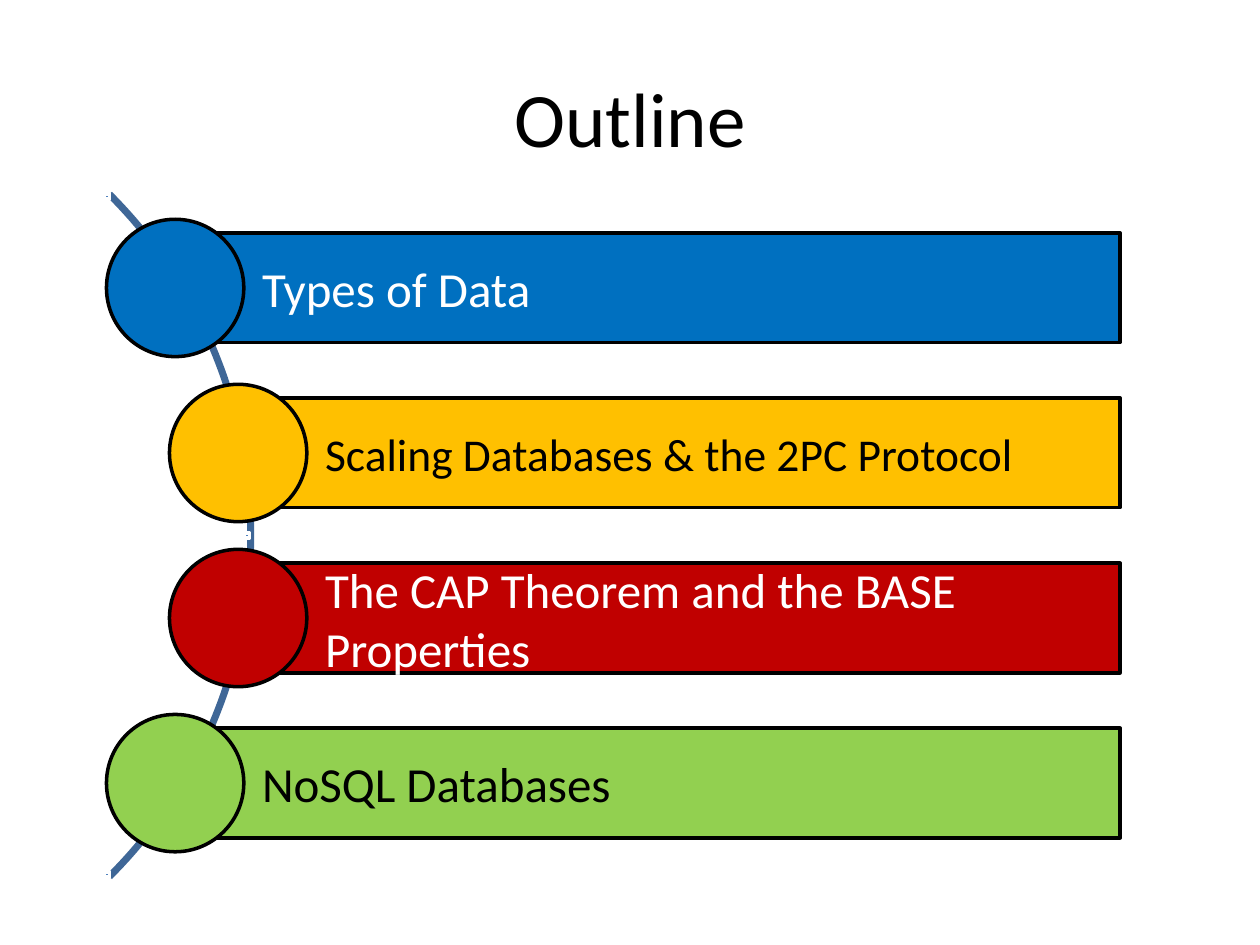
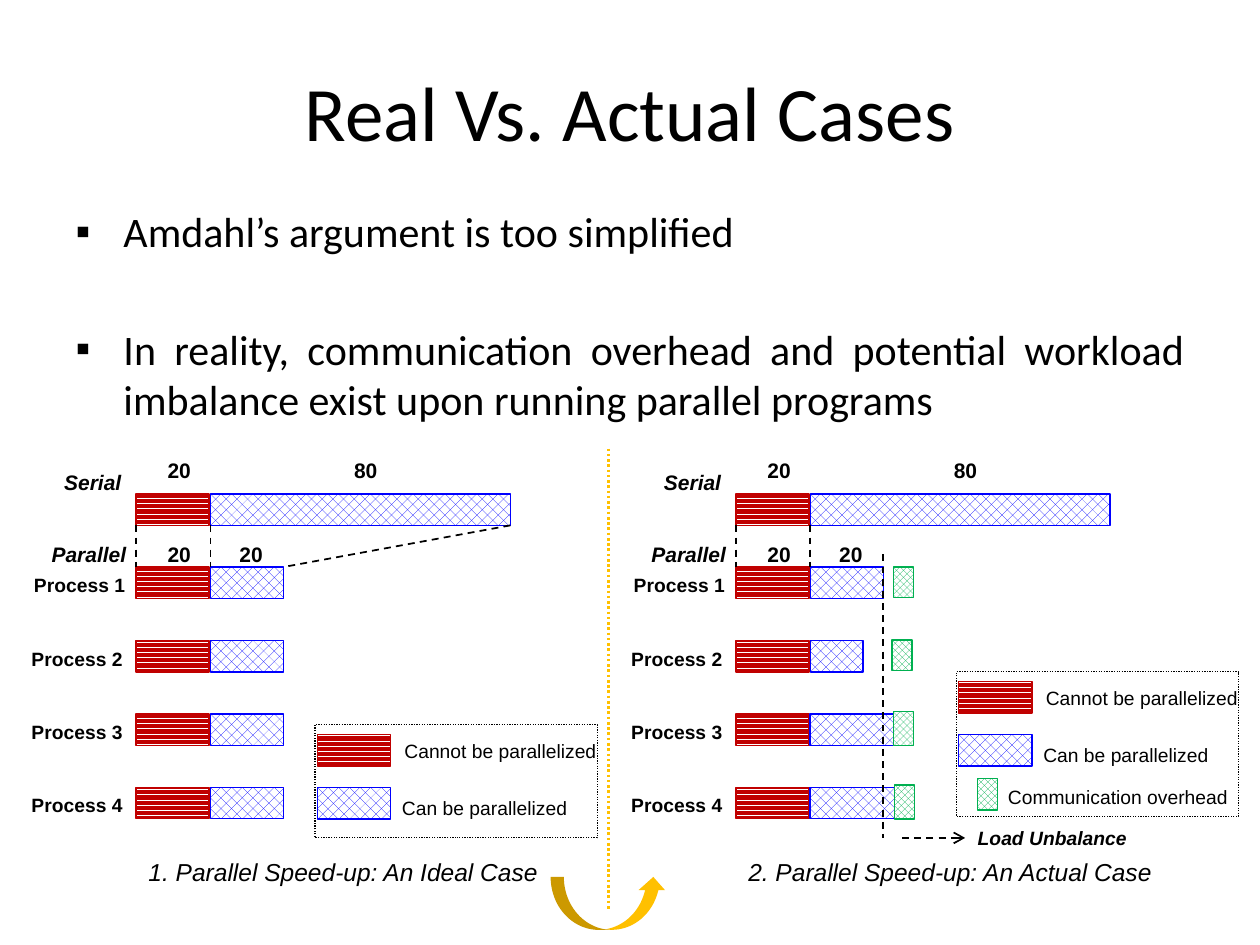
import math

from lxml import etree
from pptx import Presentation
from pptx import util as u
from pptx.dml.color import RGBColor
from pptx.enum import dml, shapes, text
from pptx.oxml import ns

COLORS = dict(black="000000", white="FFFFFF", blue="0070C0", amber="FFC000", red="C00000",
              green="92D050", arc="3F6797", node="4F81BD", parallel="0000FF", overhead="00B050")

OUTLINE = [
    ("Types of Data", "blue", "white", 28, 0),
    ("Scaling Databases & the 2PC Protocol", "amber", "black", 26, 0.5),
    ("The CAP Theorem and the BASE Properties", "red", "white", 28, 0.5),
    ("NoSQL Databases", "green", "black", 28, 0),
]
ROW_TOP, ROW_PITCH, BAR_H, BAR_RIGHT, DISC = 1.85, 1.31, 0.87, 8.89, 1.09
ARC_X, ARC_Y, ARC_R = -1.84, 4.25, 3.83
ARC_NODES = [(0.83, 1.54), (1.94, 4.23), (0.83, 6.92)]

POINTS = [
    ("Amdahl’s argument is too simplified", 0),
    ("In reality, communication overhead and potential workload imbalance exist "
     "upon running parallel programs", 38.5),
]
PATTERNS = {
    "serial": ("red", dml.MSO_PATTERN.DARK_HORIZONTAL),
    "parallel": ("parallel", dml.MSO_PATTERN.WEAVE),
    "overhead": ("overhead", dml.MSO_PATTERN.LARGE_CHECKER_BOARD),
}
BAR, BAR_W, SERIAL_W = 0.25, 0.58, 2.38
SERIAL_TOP, PROCESS_TOP, PROCESS_PITCH = 3.92, 4.5, 0.583
BOLD = dict(bold=True)
ITALIC = dict(italic=True)
BOLD_ITALIC = dict(bold=True, italic=True)
PANEL_LABELS = [
    ("20", 0.25, 3.63, 0.19, BOLD),
    ("80", 1.73, 3.63, 0.19, BOLD),
    ("20", 0.25, 4.3, 0.19, BOLD),
    ("20", 0.82, 4.3, 0.19, BOLD),
    ("Serial", -0.57, 3.73, 0.46, BOLD_ITALIC),
    ("Parallel", -0.67, 4.3, 0.6, BOLD_ITALIC),
]
LEGEND = [
    ("serial", "Cannot be parallelized", 0.02, 0.08, BAR_W, 0.71, 0.12, 1.54),
    ("parallel", "Can be parallelized", 0.02, 0.5, BAR_W, 0.69, 0.57, 1.32),
    ("overhead", "Communication overhead", 0.17, 0.85, 0.16, 0.41, 0.9, 1.76),
]
PANELS = [
    dict(left=1.08, caption="1. Parallel Speed-up: An Ideal Case", caption_w=3.31,
         widths=[0.58] * 4, overheads=[], legend=(2.5, 5.75, 0.9, 2)),
    dict(left=5.84, caption="2. Parallel Speed-up: An Actual Case", caption_w=3.42,
         widths=[0.58, 0.42, 0.66, 0.67],
         overheads=[(7.09, 4.5, 0.24), (7.08, 5.08, 0.24), (7.09, 5.65, 0.27), (7.1, 6.23, 0.27)],
         legend=(7.59, 5.33, 1.15, 3)),
]


def rgb(name):
    return RGBColor.from_string(COLORS[name])


def set_attrs(obj, values):
    for name, value in values.items():
        setattr(obj, name, value)


def style_run(p, words, size, font, color="black", **extra):
    r = p.add_run()
    r.text = words
    set_attrs(r.font, dict(size=u.Pt(size), name=font, **extra))
    r.font.color.rgb = rgb(color)


def place(sp, *box):
    set_attrs(sp, dict(zip(("left", "top", "width", "height"), map(u.Inches, box))))


def set_line(line, color, width, dash=None):
    line.color.rgb = rgb(color)
    line.width = u.Pt(width)
    if dash:
        line.dash_style = dash


def add_shape(s, kind, box, fill=None, line=None, width=2, dash=None):
    sp = s.shapes.add_shape(kind, *map(u.Inches, box))
    sp.shadow.inherit = False
    if fill:
        sp.fill.solid()
        sp.fill.fore_color.rgb = rgb(fill)
    else:
        sp.fill.background()
    if line:
        set_line(sp.line, line, width, dash)
    else:
        sp.line.fill.background()
    return sp


def add_block(s, kind, *box):
    color, pattern = PATTERNS[kind]
    sp = add_shape(s, shapes.MSO_SHAPE.RECTANGLE, box, line=color, width=0.75)
    sp.fill.patterned()
    sp.fill.pattern = pattern
    sp.fill.fore_color.rgb = rgb(color)
    sp.fill.back_color.rgb = rgb("white")


def add_label(s, words, x, y, w, size=11, h=0.19, inset=True, **extra):
    tf = s.shapes.add_textbox(*map(u.Inches, (x, y, w, h))).text_frame
    set_attrs(tf, dict(word_wrap=False, auto_size=text.MSO_AUTO_SIZE.SHAPE_TO_FIT_TEXT))
    if not inset:
        set_attrs(tf, dict.fromkeys(("margin_left", "margin_top", "margin_right", "margin_bottom"), 0))
    style_run(tf.paragraphs[0], words, size, "Arial", **extra)


def add_line(s, start, end, color="black", width=1, dash=dml.MSO_LINE.DASH, arrow=False):
    c = s.shapes.add_connector(shapes.MSO_CONNECTOR.STRAIGHT, *map(u.Inches, start + end))
    set_line(c.line, color, width, dash)
    if arrow:
        etree.SubElement(c.line._get_or_add_ln(), ns.qn("a:tailEnd"), type="arrow")
    etree.SubElement(c._element.spPr, ns.qn("a:effectLst"))


def add_slide(prs, layout, title, top):
    s = prs.slides.add_slide(prs.slide_layouts[layout])
    place(s.shapes.title, 0.5, top, 9, 1.25)
    tf = s.shapes.title.text_frame
    tf.vertical_anchor = text.MSO_ANCHOR.MIDDLE
    p = tf.paragraphs[0]
    p.alignment = text.PP_ALIGN.CENTER
    style_run(p, title, 44, "Calibri")
    return s


def build_outline(prs):
    s = add_slide(prs, 5, "Outline", 0.3)
    arc = [(u.Inches(ARC_X + ARC_R * math.cos(math.radians(a))),
            u.Inches(ARC_Y + ARC_R * math.sin(math.radians(a)))) for a in range(-45, 46)]
    builder = s.shapes.build_freeform(*arc[0])
    builder.add_line_segments(arc[1:], close=False)
    sp = builder.convert_to_shape()
    sp.shadow.inherit = False
    sp.fill.background()
    set_line(sp.line, "arc", 4)

    for i, (words, fill, ink, size, indent) in enumerate(OUTLINE):
        x, y = 1.39 + indent, ROW_TOP + i * ROW_PITCH
        bar = add_shape(s, shapes.MSO_SHAPE.RECTANGLE, (x, y, BAR_RIGHT - x, BAR_H), fill, "black")
        tf = bar.text_frame
        set_attrs(tf, dict(margin_left=u.Inches(0.69), margin_right=u.Inches(0.08), word_wrap=True,
                           margin_top=u.Inches(0.08), margin_bottom=u.Inches(0.08),
                           vertical_anchor=text.MSO_ANCHOR.MIDDLE))
        p = tf.paragraphs[0]
        p.alignment = text.PP_ALIGN.LEFT
        style_run(p, words, size, "Calibri", ink)
        disc = (x - DISC / 2, y + (BAR_H - DISC) / 2, DISC, DISC)
        add_shape(s, shapes.MSO_SHAPE.OVAL, disc, fill, "black")

    for x, y in ARC_NODES:
        add_shape(s, shapes.MSO_SHAPE.RECTANGLE, (x, y, 0.04, 0.04), "node", "white")


def fill_points(body):
    place(body, 0.5, 1.58, 9, 4.95)
    tf = body.text_frame
    tf.auto_size = text.MSO_AUTO_SIZE.NONE
    for i, (words, gap) in enumerate(POINTS):
        p = tf.add_paragraph() if i else tf.paragraphs[0]
        set_attrs(p, dict(alignment=text.PP_ALIGN.JUSTIFY, space_before=u.Pt(gap)))
        pPr = p._p.get_or_add_pPr()
        pPr.set("marL", str(u.Inches(0.38)))
        pPr.set("indent", str(-u.Inches(0.38)))
        etree.SubElement(pPr, ns.qn("a:buFont"), typeface="Arial")
        etree.SubElement(pPr, ns.qn("a:buChar"), char="▪")
        style_run(p, words, 24, "Calibri")


def add_legend(s, x, y, h, count):
    for kind, words, dx, dy, w, label_dx, label_dy, label_w in LEGEND[:count]:
        add_block(s, kind, x + dx, y + dy, w, BAR)
        add_label(s, words, x + label_dx, y + label_dy, label_w, inset=False)
    add_shape(s, shapes.MSO_SHAPE.RECTANGLE, (x, y, 2.24, h), line="black", width=0.75,
              dash=dml.MSO_LINE.ROUND_DOT)


def add_panel(s, left, caption, caption_w, widths, overheads, legend):
    split = left + BAR_W + 0.01
    add_block(s, "serial", left, SERIAL_TOP, BAR_W, BAR)
    add_block(s, "parallel", split, SERIAL_TOP, SERIAL_W, BAR)
    for i, width in enumerate(widths):
        y = PROCESS_TOP + i * PROCESS_PITCH
        add_block(s, "serial", left, y, BAR_W, BAR)
        add_block(s, "parallel", split, y, width, BAR)
        label_x = left - (0.83 if i else 0.81)
        add_label(s, f"Process {i + 1}", label_x, y + 0.05, 0.73, inset=False, **BOLD)
    for x in (left, split):
        add_line(s, (x, SERIAL_TOP + BAR), (x, PROCESS_TOP))
    for words, dx, y, w, style in PANEL_LABELS:
        add_label(s, words, left + dx, y, w, 12, inset=False, **style)
    add_label(s, caption, left, 6.75, caption_w, 14, 0.34, **ITALIC)
    add_legend(s, *legend)
    for x, y, h in overheads:
        add_block(s, "overhead", x, y, 0.16, h)


def build_cases(prs):
    s = add_slide(prs, 1, "Real Vs. Actual Cases", 0.25)
    fill_points(s.placeholders[1])
    for panel in PANELS:
        add_panel(s, **panel)
    add_line(s, (4.05, 4.17), (2.25, 4.5))
    add_line(s, (7.01, 4.4), (7.01, 6.65))
    add_line(s, (7.16, 6.65), (7.66, 6.65), arrow=True)
    add_label(s, "Load Unbalance", 7.76, 6.56, 1.19, inset=False, **BOLD_ITALIC)
    add_line(s, (4.83, 3.56), (4.83, 7.22), "amber", 1.5, dml.MSO_LINE.ROUND_DOT)
    add_shape(s, shapes.MSO_SHAPE.CURVED_UP_ARROW, (4.37, 6.96, 0.92, 0.42), "amber")


def main():
    prs = Presentation()
    set_attrs(prs, dict(slide_width=u.Inches(10), slide_height=u.Inches(7.5)))
    build_outline(prs)
    build_cases(prs)
    prs.save("out.pptx")


if __name__ == "__main__":
    main()
